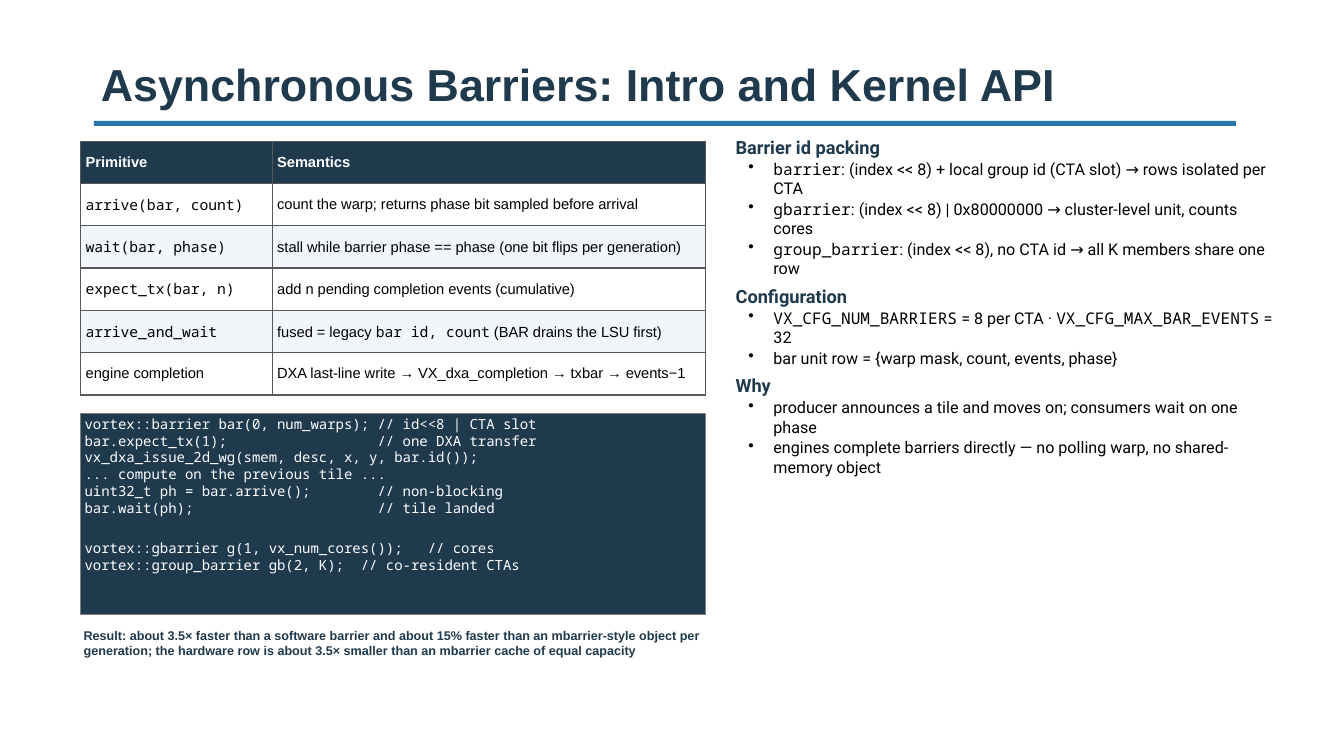
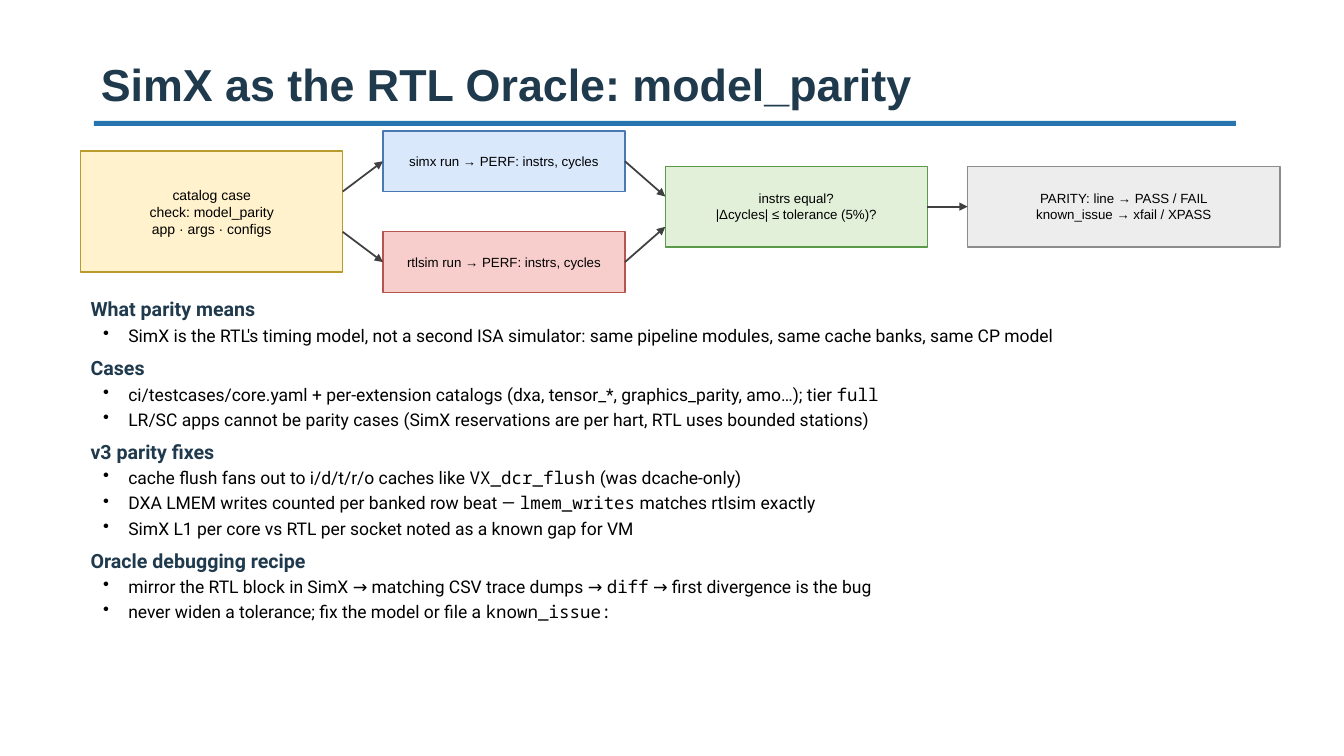
from lxml import etree
from pptx import Presentation
from pptx.dml.color import RGBColor
from pptx.enum import shapes, text
from pptx.oxml import ns
from pptx.util import Pt

NAVY = RGBColor(0x1F, 0x39, 0x4D)
BLUE = RGBColor(0x27, 0x74, 0xAE)
WHITE = RGBColor(0xFF, 0xFF, 0xFF)
BLACK = RGBColor(0, 0, 0)
PALE = RGBColor(0xF2, 0xF6, 0xFA)
GRID = RGBColor(0x57, 0x58, 0x5B)
GRAY = RGBColor(0x7F, 0x7F, 0x7F)
DARK = RGBColor(0x40, 0x40, 0x40)
CREAM, GOLD = RGBColor(0xFF, 0xF2, 0xCC), RGBColor(0xB8, 0x9B, 0x2A)
SKY, STEEL = RGBColor(0xDA, 0xE8, 0xFC), RGBColor(0x4A, 0x78, 0xB0)
ROSE, BRICK = RGBColor(0xF8, 0xCE, 0xCC), RGBColor(0xB8, 0x54, 0x50)
MINT, GREEN = RGBColor(0xE2, 0xF0, 0xD9), RGBColor(0x5B, 0x9A, 0x4B)
MIST, ASH = RGBColor(0xED, 0xED, 0xED), RGBColor(0x8C, 0x8C, 0x8C)

SANS, MONO, BODY = "Arial", "Noto Sans Mono", "Roboto"
LEFT, MID = text.PP_ALIGN.LEFT, text.PP_ALIGN.CENTER
TOP, CENTER, BASE = (text.MSO_ANCHOR.TOP, text.MSO_ANCHOR.MIDDLE,
                     text.MSO_ANCHOR.BOTTOM)

PRIMS = [
    ("Primitive", "Semantics"),
    ("`arrive(bar, count)`", "count the warp; returns phase bit sampled before arrival"),
    ("`wait(bar, phase)`", "stall while barrier phase == phase (one bit flips per generation)"),
    ("`expect_tx(bar, n)`", "add n pending completion events (cumulative)"),
    ("`arrive_and_wait`", "fused = legacy `bar id, count` (BAR drains the LSU first)"),
    ("engine completion", "DXA last-line write → VX_dxa_completion → txbar → events−1"),
]
CODE = [
    """vortex::barrier bar(0, num_warps); // id<<8 | CTA slot
bar.expect_tx(1);                  // one DXA transfer
vx_dxa_issue_2d_wg(smem, desc, x, y, bar.id());
... compute on the previous tile ...
uint32_t ph = bar.arrive();        // non-blocking
bar.wait(ph);                      // tile landed""",
    """vortex::gbarrier g(1, vx_num_cores());   // cores
vortex::group_barrier gb(2, K);  // co-resident CTAs""",
]
RESULT = ("Result: about 3.5× faster than a software barrier and about 15% faster than "
          "an mbarrier-style object per generation; the hardware row is about 3.5× "
          "smaller than an mbarrier cache of equal capacity")
NOTES = [
    ("Barrier id packing", [
        "`barrier`: (index << 8) + local group id (CTA slot) → rows isolated per CTA",
        "`gbarrier`: (index << 8) | 0x80000000 → cluster-level unit, counts cores",
        "`group_barrier`: (index << 8), no CTA id → all K members share one row"]),
    ("Configuration", [
        "`VX_CFG_NUM_BARRIERS` = 8 per CTA · `VX_CFG_MAX_BAR_EVENTS` = 32",
        "bar unit row = {warp mask, count, events, phase}"]),
    ("Why", [
        "producer announces a tile and moves on; consumers wait on one phase",
        "engines complete barriers directly — no polling warp, no shared-memory object"]),
]
PARITY = [
    ("What parity means", [
        "SimX is the RTL's timing model, not a second ISA simulator: same pipeline "
        "modules, same cache banks, same CP model"]),
    ("Cases", [
        "ci/testcases/core.yaml + per-extension catalogs (dxa, tensor_*, "
        "graphics_parity, amo…); tier `full`",
        "LR/SC apps cannot be parity cases (SimX reservations are per hart, "
        "RTL uses bounded stations)"]),
    ("v3 parity fixes", [
        "cache flush fans out to i/d/t/r/o caches like `VX_dcr_flush` (was dcache-only)",
        "DXA LMEM writes counted per banked row beat — `lmem_writes` matches rtlsim exactly",
        "SimX L1 per core vs RTL per socket noted as a known gap for VM"]),
    ("Oracle debugging recipe", [
        "mirror the RTL block in SimX → matching CSV trace dumps → `diff` → "
        "first divergence is the bug",
        "never widen a tolerance; fix the model or file a `known_issue:`"]),
]
NODES = [
    (0, 14.4, 187.2, 86.4, CREAM, GOLD, 10,
     ["catalog case", "check: model_parity", "app · args · configs"]),
    (216, 0, 172.8, 43.2, SKY, STEEL, 9.5, ["simx run → PERF: instrs, cycles"]),
    (216, 72, 172.8, 43.2, ROSE, BRICK, 9.5, ["rtlsim run → PERF: instrs, cycles"]),
    (417.6, 25.2, 187.2, 57.6, MINT, GREEN, 9.5,
     ["instrs equal?", "|Δcycles| ≤ tolerance (5%)?"]),
    (633.6, 25.2, 223.2, 57.6, MIST, ASH, 9.5,
     ["PARITY: line → PASS / FAIL", "known_issue → xfail / XPASS"]),
]
ARROWS = [(187.2, 43.2, 21.6), (187.2, 72, 93.6), (388.8, 21.6, 46.8),
          (388.8, 93.6, 68.4), (604.8, 54, 54)]


def pts(*nums):
    return [Pt(n) for n in nums]


def style(item, **vals):
    for name, val in vals.items():
        setattr(item, name, val)


def write(para, line, face, size, color, bold=False):
    for i, part in enumerate(line.split("`")):
        if part:
            run = para.add_run()
            run.text = part
            style(run.font, name=MONO if i % 2 else face, size=Pt(size), bold=bold)
            run.font.color.rgb = color


def setup(frame, padx, pady, anchor=TOP):
    style(frame, margin_left=Pt(padx), margin_right=Pt(padx), margin_top=Pt(pady),
          margin_bottom=Pt(pady), vertical_anchor=anchor, word_wrap=True,
          auto_size=text.MSO_AUTO_SIZE.NONE)


def extend(frame):
    first = frame.paragraphs[0]
    return frame.add_paragraph() if first.runs else first


def rect(slide, box, fill, edge=None):
    shape = slide.shapes.add_shape(shapes.MSO_SHAPE.RECTANGLE, *pts(*box))
    shape.shadow.inherit = False
    shape.fill.solid()
    shape.fill.fore_color.rgb = fill
    if edge is None:
        shape.line.fill.background()
    else:
        shape.line.color.rgb = edge
        shape.line.width = Pt(1)
    return shape


def start(deck, words):
    slide = deck.slides.add_slide(deck.slide_layouts[5])
    rect(slide, (67, 86.4, 815.8, 3.6), BLUE)
    title = slide.shapes.title
    style(title, left=Pt(64.8), top=Pt(18), width=Pt(799.2), height=Pt(64.8))
    setup(title.text_frame, 7.2, 3.6, BASE)
    para = title.text_frame.paragraphs[0]
    para.alignment = LEFT
    write(para, words, SANS, 32, NAVY, True)
    return slide


def outline(slide, box, groups, head, size, above, gap):
    frame = slide.shapes.add_textbox(*pts(*box)).text_frame
    setup(frame, 7.2, 3.6)
    for n, (name, items) in enumerate(groups):
        para = extend(frame)
        if n:
            para.space_before = Pt(above)
        write(para, name, BODY, head, NAVY, True)
        for item in items:
            para = frame.add_paragraph()
            props = para._p.get_or_add_pPr()
            props.set("marL", str(Pt(27)))
            props.set("indent", str(Pt(-18)))
            etree.SubElement(props, ns.qn("a:buChar")).set("char", "•")
            para.space_before = Pt(gap)
            write(para, item, BODY, size, BLACK)


def border(cell):
    props = cell._tc.get_or_add_tcPr()
    for n, side in enumerate(("lnL", "lnR", "lnT", "lnB")):
        line = etree.Element(ns.qn("a:" + side), w=str(Pt(1)))
        fill = etree.SubElement(line, ns.qn("a:solidFill"))
        etree.SubElement(fill, ns.qn("a:srgbClr")).set("val", str(GRID))
        props.insert(n, line)


def grid(slide, box, rows, widths):
    table = slide.shapes.add_table(len(rows), len(widths), *pts(*box)).table
    for col, width in zip(table.columns, widths):
        col.width = Pt(width)
    for r, row in enumerate(rows):
        table.rows[r].height = Pt(box[3] / len(rows))
        for c, words in enumerate(row):
            cell = table.cell(r, c)
            style(cell, margin_left=Pt(3.6), margin_right=Pt(3.6), margin_top=Pt(1.44),
                  margin_bottom=Pt(1.44), vertical_anchor=CENTER)
            cell.fill.solid()
            cell.fill.fore_color.rgb = NAVY if r == 0 else WHITE if r % 2 else PALE
            border(cell)
            write(cell.text_frame.paragraphs[0], words, SANS, 10.5,
                  BLACK if r else WHITE, r == 0)


def listing(slide, box, blocks):
    frame = rect(slide, box, NAVY, GRAY).text_frame
    setup(frame, 2.88, 1.44)
    for b, block in enumerate(blocks):
        for n, line in enumerate(block.splitlines()):
            para = extend(frame)
            para.alignment = LEFT
            if b and n == 0:
                para.space_before = Pt(16.5)
            write(para, line, MONO, 10, WHITE)


def remark(slide, box, words):
    frame = slide.shapes.add_textbox(*pts(*box)).text_frame
    setup(frame, 2.16, 2.16)
    write(frame.paragraphs[0], words, SANS, 9, NAVY, True)


def arrow(slide, x1, y1, x2, y2):
    link = slide.shapes.add_connector(shapes.MSO_CONNECTOR.STRAIGHT,
                                      *pts(x1, y1, x2, y2))
    link.line.color.rgb = DARK
    link.line.width = Pt(1.25)
    etree.SubElement(link.line._get_or_add_ln(), ns.qn("a:tailEnd")).set("type", "triangle")
    etree.SubElement(link._element.spPr, ns.qn("a:effectLst"))


def flow(slide, left, top, gap=28.8):
    for x, y, wide, high, fill, edge, size, lines in NODES:
        frame = rect(slide, (left + x, top + y, wide, high), fill, edge).text_frame
        setup(frame, 2.88, 1.44, CENTER)
        for line in lines:
            para = extend(frame)
            para.alignment = MID
            write(para, line, SANS, size, BLACK)
    for x, y1, y2 in ARROWS:
        arrow(slide, left + x, top + y1, left + x + gap, top + y2)


def barriers(deck):
    slide = start(deck, "Asynchronous Barriers: Intro and Kernel API")
    outline(slide, (518.4, 93.6, 403.2, 388.8), NOTES, 13, 11.5, 5, 1)
    left, wide = 57.6, 446.4
    grid(slide, (left, 100.8, wide, 181.44), PRIMS, (136.8, 309.6))
    listing(slide, (left, 295.2, wide, 144), CODE)
    remark(slide, (left, 446.4, wide, 28.8), RESULT)


def oracle(deck):
    slide = start(deck, "SimX as the RTL Oracle: model_parity")
    outline(slide, (57.6, 208.8, 856.8, 273.6), PARITY, 14, 12.5, 7, 3)
    flow(slide, 57.6, 93.6)


def main():
    deck = Presentation()
    style(deck, slide_width=Pt(960), slide_height=Pt(540))
    barriers(deck)
    oracle(deck)
    deck.save("out.pptx")


if __name__ == "__main__":
    main()
